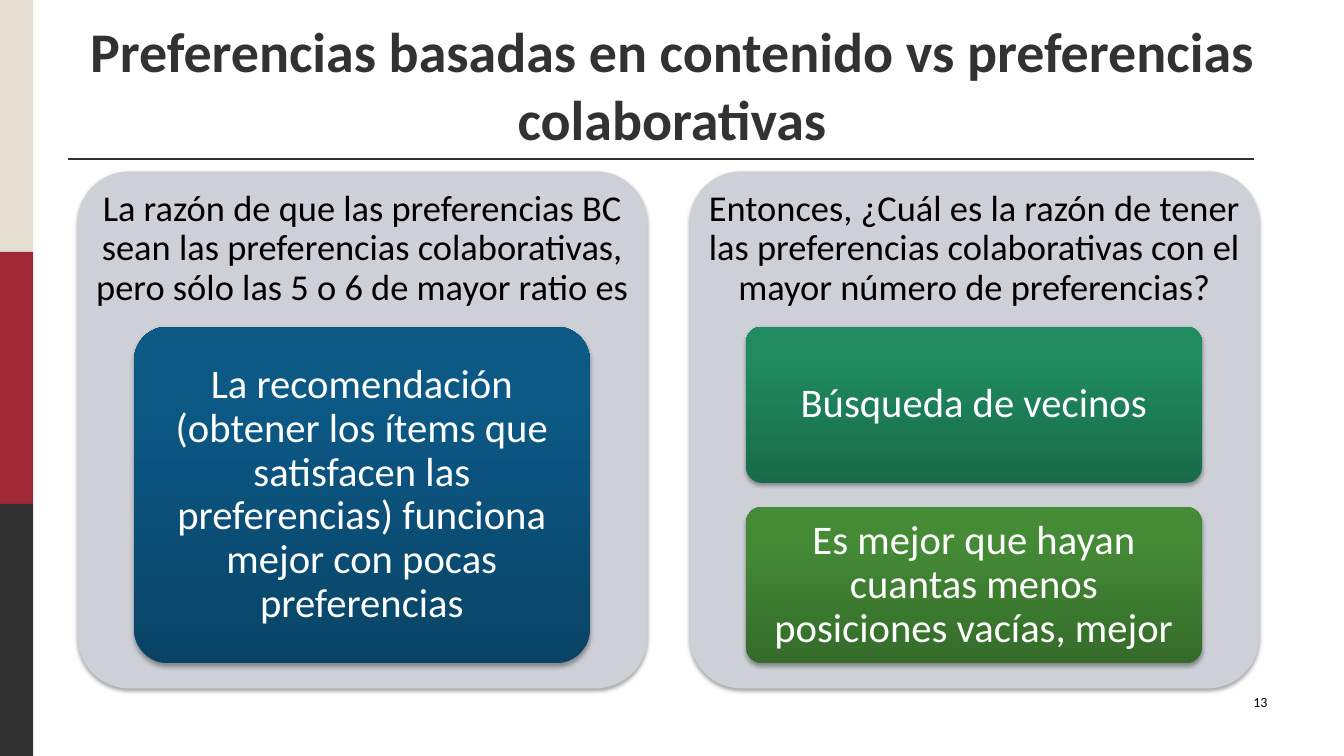
from copy import deepcopy
from dataclasses import dataclass

from lxml import etree
from pptx import Presentation
from pptx.dml.color import RGBColor
from pptx.enum import shapes, text
from pptx.oxml import ns
from pptx.util import Inches, Pt

WHITE = RGBColor(0xFF, 0xFF, 0xFF)
BLACK = RGBColor(0x00, 0x00, 0x00)
CHARCOAL = RGBColor(0x32, 0x32, 0x32)
CREAM = RGBColor(0xE3, 0xDE, 0xD1)
CRIMSON = RGBColor(0x9F, 0x29, 0x36)
PANEL_GREY = RGBColor(0xCD, 0xD1, 0xD7)
BLUES = (RGBColor(0x09, 0x44, 0x67), RGBColor(0x0C, 0x59, 0x86), RGBColor(0x0A, 0x5A, 0x89))
TEALS = (RGBColor(0x18, 0x6B, 0x49), RGBColor(0x1F, 0x8B, 0x5F), RGBColor(0x1D, 0x8D, 0x60))
GREENS = (RGBColor(0x35, 0x6B, 0x2A), RGBColor(0x45, 0x8B, 0x36), RGBColor(0x45, 0x8D, 0x35))
STOP_POSITIONS = (0, 0.8, 1)

FONT = "Calibri"
PANEL_LEFT, PANEL_TOP, PANEL_WIDTH, PANEL_HEIGHT = 0.77, 1.7, 5.65, 5.13
PANEL_PITCH = 6.07
HEADING_HEIGHT = 1.54
BLOCK_INDENT, BLOCK_WIDTH = 0.56, 4.52
BLOCKS_HEIGHT, BLOCK_GAP = 3.34, 0.24


@dataclass
class Block:
    wording: str
    gradient: tuple[RGBColor, ...]


@dataclass
class Panel:
    heading: str
    blocks: list[Block]


PANELS = [
    Panel("La razón de que las preferencias BC sean las preferencias colaborativas, "
          "pero sólo las 5 o 6 de mayor ratio es",
          [Block("La recomendación (obtener los ítems que satisfacen las preferencias) "
                 "funciona mejor con pocas preferencias", BLUES)]),
    Panel("Entonces, ¿Cuál es la razón de tener las preferencias colaborativas "
          "con el mayor número de preferencias?",
          [Block("Búsqueda de vecinos", TEALS),
           Block("Es mejor que hayan cuantas menos posiciones vacías, mejor", GREENS)]),
]


def write(shape, wording: str, size: float, color: RGBColor, *, bold: bool = False,
          align=text.PP_ALIGN.CENTER, anchor=text.MSO_ANCHOR.MIDDLE,
          spacing: float = 1.0, margins: tuple[float, float] = (0.1, 0.05)) -> None:
    frame = shape.text_frame
    frame.word_wrap = True
    frame.vertical_anchor = anchor
    frame.margin_left = frame.margin_right = Inches(margins[0])
    frame.margin_top = frame.margin_bottom = Inches(margins[1])
    paragraph = frame.paragraphs[0]
    paragraph.text = wording
    paragraph.alignment = align
    paragraph.line_spacing = spacing
    font = paragraph.font
    font.name, font.size, font.bold = FONT, Pt(size), bold
    font.color.rgb = color


def add_box(left: float, top: float, width: float, height: float):
    return slide.shapes.add_textbox(Inches(left), Inches(top), Inches(width), Inches(height))


def add_plain(kind, left: float, top: float, width: float, height: float, color: RGBColor):
    shape = slide.shapes.add_shape(kind, Inches(left), Inches(top), Inches(width), Inches(height))
    shape.shadow.inherit = False
    shape.fill.solid()
    shape.fill.fore_color.rgb = color
    shape.line.fill.background()
    return shape


def add_rounded(left: float, top: float, width: float, height: float, color: RGBColor):
    """Rounded rectangle with a soft shadow below it."""
    shape = add_plain(shapes.MSO_SHAPE.ROUNDED_RECTANGLE, left, top, width, height, color)
    shape.adjustments[0] = 0.1
    effects = shape._element.spPr.find(ns.qn("a:effectLst"))
    shadow = etree.SubElement(effects, ns.qn("a:outerShdw"), blurRad=str(Pt(3.1)),
                              dist=str(Pt(1.8)), dir="5400000", rotWithShape="0")
    tint = etree.SubElement(shadow, ns.qn("a:srgbClr"), val=str(BLACK))
    etree.SubElement(tint, ns.qn("a:alpha"), val="35000")
    return shape


def shade(shape, colors: tuple[RGBColor, ...]) -> None:
    """Three-stop gradient running from the bottom up."""
    shape.fill.gradient()
    shape.fill.gradient_angle = 90
    stops = shape._element.spPr.find(".//" + ns.qn("a:gsLst"))
    stops.append(deepcopy(stops[-1]))
    for stop, position, color in zip(shape.fill.gradient_stops, STOP_POSITIONS, colors):
        stop.position = position
        stop.color.rgb = color


def add_panel(panel: Panel, left: float) -> None:
    add_rounded(left, PANEL_TOP, PANEL_WIDTH, PANEL_HEIGHT, PANEL_GREY)
    write(add_box(left, PANEL_TOP, PANEL_WIDTH, HEADING_HEIGHT), panel.heading, 26, BLACK,
          spacing=0.9, margins=(0.11, 0.11))
    count = len(panel.blocks)
    height = (BLOCKS_HEIGHT - BLOCK_GAP * (count - 1)) / count
    for row, block in enumerate(panel.blocks):
        top = PANEL_TOP + HEADING_HEIGHT + row * (height + BLOCK_GAP)
        card = add_rounded(left + BLOCK_INDENT, top, BLOCK_WIDTH, height, PANEL_GREY)
        shade(card, block.gradient)
        write(card, block.wording, 29, WHITE, spacing=0.9, margins=(0.08, 0.06))


presentation = Presentation()
presentation.slide_width, presentation.slide_height = Inches(13.33), Inches(7.5)
slide = presentation.slides.add_slide(presentation.slide_layouts[6])

# Side stripe
for band, band_color in enumerate((CREAM, CRIMSON, CHARCOAL)):
    add_plain(shapes.MSO_SHAPE.RECTANGLE, 0, band * 2.5, 0.33, 2.5, band_color)

# Title and its rule
write(add_box(0.76, 0.3, 11.81, 1.25),
      "Preferencias basadas en contenido vs preferencias colaborativas", 40, CHARCOAL,
      bold=True, anchor=text.MSO_ANCHOR.BOTTOM)
title_rule = slide.shapes.add_connector(shapes.MSO_CONNECTOR.STRAIGHT, Inches(0.67),
                                        Inches(1.58), Inches(12.44), Inches(1.58))
title_rule.line.color.rgb = CHARCOAL
title_rule.line.width = Pt(1.5)
etree.SubElement(title_rule._element.spPr, ns.qn("a:effectLst"))

# Panels
for column, content in enumerate(PANELS):
    add_panel(content, PANEL_LEFT + column * PANEL_PITCH)

# Page number
write(add_box(9.56, 6.83, 3.11, 0.5), "13", 10, BLACK,
      align=text.PP_ALIGN.RIGHT, anchor=text.MSO_ANCHOR.TOP)

presentation.save("out.pptx")
